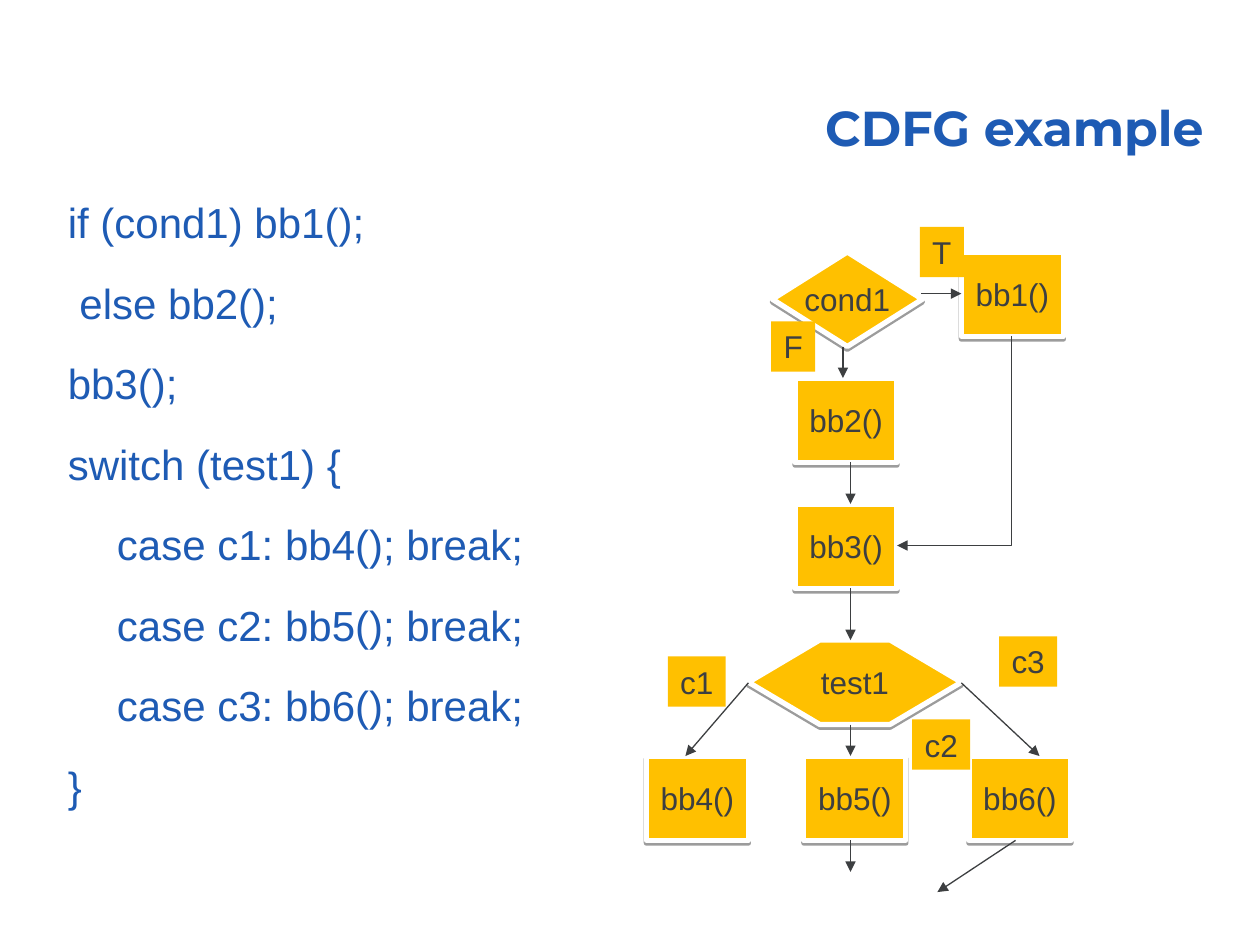
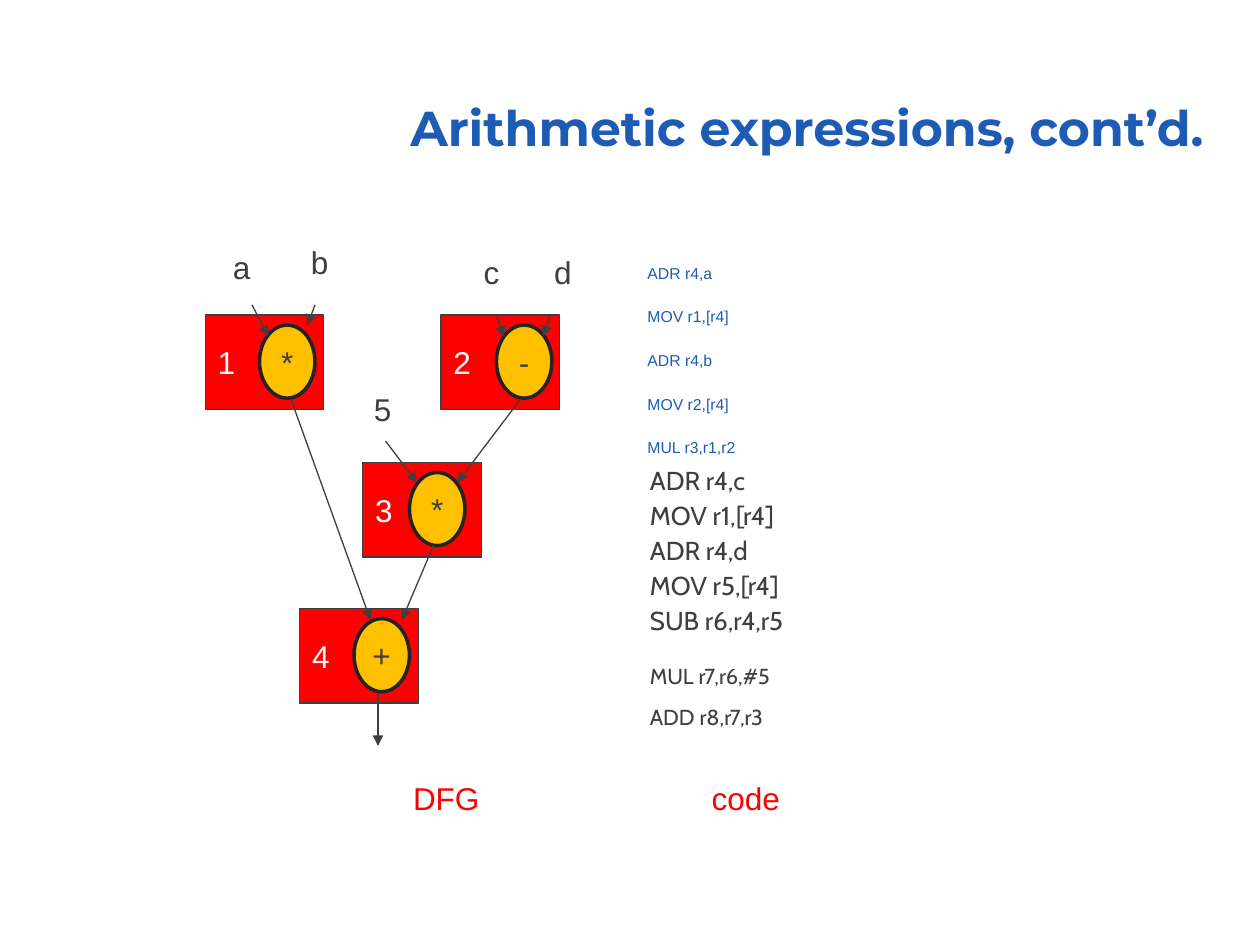
import pptx
import pptx.dml.color
import pptx.enum.shapes
import pptx.enum.text
import pptx.oxml
import pptx.oxml.ns
import pptx.util
from pptx.util import Inches

RGBColor = pptx.dml.color.RGBColor
MSO_SHAPE = pptx.enum.shapes.MSO_SHAPE
MSO_CONNECTOR = pptx.enum.shapes.MSO_CONNECTOR
PP_ALIGN = pptx.enum.text.PP_ALIGN
MSO_ANCHOR = pptx.enum.text.MSO_ANCHOR

BLUE = RGBColor(0x1E, 0x5B, 0xB4)
AMBER = RGBColor(0xFF, 0xC0, 0x00)
RED = RGBColor(0xFF, 0x00, 0x00)
WHITE = RGBColor(0xFF, 0xFF, 0xFF)
INK = RGBColor(0x3D, 0x3F, 0x41)
BLACK = RGBColor(0x23, 0x23, 0x25)
BODY_FONT = "Arial"
TITLE_FONT = "Montserrat"
CODE_FONT = "Cabin"
BLOCK_WIDTH, BLOCK_HEIGHT = 0.81, 0.67

SHADOW_XML = (
    '<a:effectLst %s><a:outerShdw dist="20320" dir="5400000" rotWithShape="0">'
    '<a:srgbClr val="000000"><a:alpha val="38000"/></a:srgbClr>'
    "</a:outerShdw></a:effectLst>" % pptx.oxml.ns.nsdecls("a")
)


def add_element(parent, tag, **attributes):
    """Append a drawing element with the given attributes and return it."""
    element = parent.makeelement(pptx.oxml.ns.qn(tag), attributes)
    parent.append(element)
    return element


def format_font(paragraph, size, color, name=BODY_FONT, bold=False):
    """Format every run of a paragraph."""
    for run in paragraph.runs:
        run.font.size = pptx.util.Pt(size)
        run.font.name = name
        run.font.bold = bold
        run.font.color.rgb = color


def add_title(slide, text):
    """Add the right-aligned slide title."""
    box = slide.shapes.add_textbox(Inches(2.94), Inches(0.53), Inches(6.71), Inches(0.77))
    frame = box.text_frame
    frame.word_wrap = True
    frame.vertical_anchor = MSO_ANCHOR.BOTTOM
    frame.text = text
    paragraph = frame.paragraphs[0]
    paragraph.alignment = PP_ALIGN.RIGHT
    paragraph.line_spacing = 0.9
    format_font(paragraph, 28, BLUE, TITLE_FONT, bold=True)


def add_code(slide, position, lines, size, color, font, line_spacing, space_before,
             alignment=PP_ALIGN.LEFT, top_inset=0.05):
    """Add a code listing with hanging indents and tab stops."""
    box = slide.shapes.add_textbox(*map(Inches, position))
    frame = box.text_frame
    frame.word_wrap = True
    frame.margin_top = Inches(top_inset)
    frame.text = "\n".join(lines)
    for index, paragraph in enumerate(frame.paragraphs):
        properties = paragraph._p.get_or_add_pPr()
        properties.set("marL", str(Inches(0.39)))
        properties.set("indent", str(-Inches(0.39)))
        tabs = add_element(properties, "a:tabLst")
        for stop in range(8):
            add_element(tabs, "a:tab", pos=str(Inches(stop)), algn="l")
        paragraph.alignment = alignment
        paragraph.line_spacing = line_spacing
        if index:
            paragraph.space_before = pptx.util.Pt(space_before)
        format_font(paragraph, size, color, font)


def set_label(shape, text, color=INK, alignment=PP_ALIGN.LEFT, anchor=MSO_ANCHOR.TOP):
    """Write one unwrapped line of text into a shape."""
    frame = shape.text_frame
    frame.word_wrap = False
    frame.vertical_anchor = anchor
    frame.text = text
    paragraph = frame.paragraphs[0]
    paragraph.alignment = alignment
    format_font(paragraph, 18, color)


def add_text(slide, left, top, width, text, color=INK):
    """Add a short plain label."""
    box = slide.shapes.add_textbox(Inches(left), Inches(top), Inches(width), Inches(0.4))
    set_label(box, text, color)


def add_box(slide, kind, position, fill, line=None, line_width=0):
    """Add a filled preset shape without a shadow."""
    shape = slide.shapes.add_shape(kind, *map(Inches, position))
    shape.shadow.inherit = False
    shape.fill.solid()
    shape.fill.fore_color.rgb = fill
    if line is None:
        shape.line.fill.background()
    else:
        shape.line.color.rgb = line
        shape.line.width = pptx.util.Pt(line_width)
    return shape


def add_flow_node(slide, text, left, top, width=BLOCK_WIDTH, height=BLOCK_HEIGHT,
                  kind=MSO_SHAPE.RECTANGLE):
    """Add a flow graph node with a white rim and a drop shadow."""
    shape = add_box(slide, kind, (left, top, width, height), AMBER, WHITE, 3)
    properties = shape._element.spPr
    properties.remove(properties.find(pptx.oxml.ns.qn("a:effectLst")))
    properties.append(pptx.oxml.parse_xml(SHADOW_XML))
    set_label(shape, text, INK, PP_ALIGN.CENTER, MSO_ANCHOR.MIDDLE)
    return shape


def add_branch_label(slide, text, left, top, width):
    """Add an amber tag that names a branch."""
    shape = add_box(slide, MSO_SHAPE.RECTANGLE, (left, top, width, 0.4), AMBER)
    set_label(shape, text)


def add_operation(slide, number, operator, left, top, circle_left):
    """Add a numbered red box that holds an operator circle."""
    box = add_box(slide, MSO_SHAPE.RECTANGLE, (left, top, 0.94, 0.75), RED, INK, 0.75)
    set_label(box, number, WHITE, anchor=MSO_ANCHOR.MIDDLE)
    circle = add_box(slide, MSO_SHAPE.OVAL, (circle_left, top + 0.08, 0.44, 0.58),
                     AMBER, BLACK, 2)
    set_label(circle, operator, INK, PP_ALIGN.CENTER, MSO_ANCHOR.MIDDLE)


def add_arrow(slide, start_x, start_y, end_x, end_y, kind=MSO_CONNECTOR.STRAIGHT):
    """Add a thin connector with a triangle at its end."""
    points = map(Inches, (start_x, start_y, end_x, end_y))
    connector = slide.shapes.add_connector(kind, *points)
    connector.line.color.rgb = INK
    connector.line.width = pptx.util.Pt(0.75)
    add_element(connector.line._get_or_add_ln(), "a:tailEnd", type="triangle")
    add_element(connector._element.spPr, "a:effectLst")
    return connector


def add_corner_arrow(slide, start_x, start_y, end_x, end_y):
    """Add an arrow that runs down and then turns left."""
    across, down = start_x - end_x, end_y - start_y
    left = (start_x + end_x - down) / 2
    top = (start_y + end_y - across) / 2
    connector = add_arrow(slide, left, top, left + down, top + across, MSO_CONNECTOR.ELBOW)
    properties = connector._element.spPr
    properties.find(pptx.oxml.ns.qn("a:prstGeom")).set("prst", "bentConnector2")
    properties.find(pptx.oxml.ns.qn("a:xfrm")).set("rot", "5400000")


def build_cdfg_slide(slide):
    """Show code beside its control and data flow graph."""
    add_title(slide, "CDFG example")
    code = ["if (cond1) bb1();", " else bb2();", "bb3();", "switch (test1) {"]
    code += [f"\tcase c{case}: bb{case + 3}(); break;" for case in (1, 2, 3)] + ["}"]
    add_code(slide, (0.44, 1.49, 4.54, 5.68), code, 24, BLUE, BODY_FONT, 1, 17.2,
             PP_ALIGN.JUSTIFY, 0.07)

    add_flow_node(slide, "cond1", 6.13, 2, 1.19, 0.75, MSO_SHAPE.DIAMOND)
    test = add_flow_node(slide, "test1", 5.94, 5.08, 1.69, kind=MSO_SHAPE.HEXAGON)
    test.adjustments[0] = 0.844
    block_places = [(7.63, 2), (6.31, 3), (6.31, 4), (5.13, 6), (6.38, 6), (7.69, 6)]
    for number, (left, top) in enumerate(block_places, 1):
        add_flow_node(slide, f"bb{number}()", left, top)

    for text, left, top, width in [
        ("T", 7.3, 1.8, 0.35), ("F", 6.12, 2.55, 0.35), ("c1", 5.3, 5.21, 0.46),
        ("c2", 7.24, 5.71, 0.46), ("c3", 7.93, 5.05, 0.46),
    ]:
        add_branch_label(slide, text, left, top, width)

    for ends in [
        (7.31, 2.33, 7.63, 2.33), (6.69, 2.75, 6.69, 3), (6.75, 3.67, 6.75, 4),
        (6.75, 4.67, 6.75, 5.08), (5.94, 5.42, 5.44, 6), (7.63, 5.42, 8.25, 6),
        (6.75, 5.75, 6.75, 6), (6.75, 6.67, 6.75, 6.92), (8.06, 6.67, 7.44, 7.08),
    ]:
        add_arrow(slide, *ends)
    add_corner_arrow(slide, 8.03, 2.67, 7.12, 4.33)


def build_arithmetic_slide(slide):
    """Show a data flow graph beside its assembly code."""
    add_title(slide, "Arithmetic expressions, cont’d.")
    for operation in [
        ("1", "*", 1.63, 2.5, 2.06), ("2", "-", 3.5, 2.5, 3.94),
        ("3", "*", 2.88, 3.67, 3.25), ("4", "+", 2.38, 4.83, 2.81),
    ]:
        add_operation(slide, *operation)

    for ends in [
        (2, 2.42, 2.13, 2.67), (2.5, 2.42, 2.44, 2.58), (3.94, 2.5, 4, 2.67),
        (4.37, 2.5, 4.31, 2.67), (2.31, 3.17, 2.94, 4.92), (3, 5.5, 3, 5.92),
        (4.13, 3.17, 3.63, 3.83), (3.06, 3.5, 3.31, 3.83), (3.44, 4.33, 3.19, 4.92),
    ]:
        add_arrow(slide, *ends)

    for text, left, top in [
        ("a", 1.75, 1.92), ("b", 2.37, 1.88), ("c", 3.74, 1.96),
        ("d", 4.3, 1.96), ("5", 2.87, 3.05),
    ]:
        add_text(slide, left, top, 0.34, text)
    add_text(slide, 3.18, 6.13, 0.73, "DFG", RED)
    add_text(slide, 5.55, 6.13, 0.74, "code", RED)

    product = ["ADR r4,a", "MOV r1,[r4]", "ADR r4,b", "MOV r2,[r4]", "MUL r3,r1,r2"]
    difference = ["ADR r4,c", "MOV r1,[r4]", "ADR r4,d", "MOV r5,[r4]", "SUB r6,r4,r5"]
    add_code(slide, (5.04, 2.06, 3.29, 1.6), product, 9, BLUE, BODY_FONT, 0.8, 16.3,
             PP_ALIGN.JUSTIFY, 0.06)
    add_code(slide, (5.06, 3.67, 3.29, 1.6), difference, 14.8, INK, CODE_FONT, 0.9, 4)
    for line, top in [("MUL r7,r6,#5", 5.25), ("ADD r8,r7,r3", 5.58)]:
        add_code(slide, (5.06, top, 3.29, 0.33), [line], 12.4, INK, CODE_FONT, 0.8, 4)


def main():
    """Build the presentation and save it."""
    presentation = pptx.Presentation()
    presentation.slide_width = Inches(10)
    presentation.slide_height = Inches(7.5)
    blank = presentation.slide_layouts[6]
    for build in (build_cdfg_slide, build_arithmetic_slide):
        build(presentation.slides.add_slide(blank))
    presentation.save("out.pptx")


if __name__ == "__main__":
    main()
